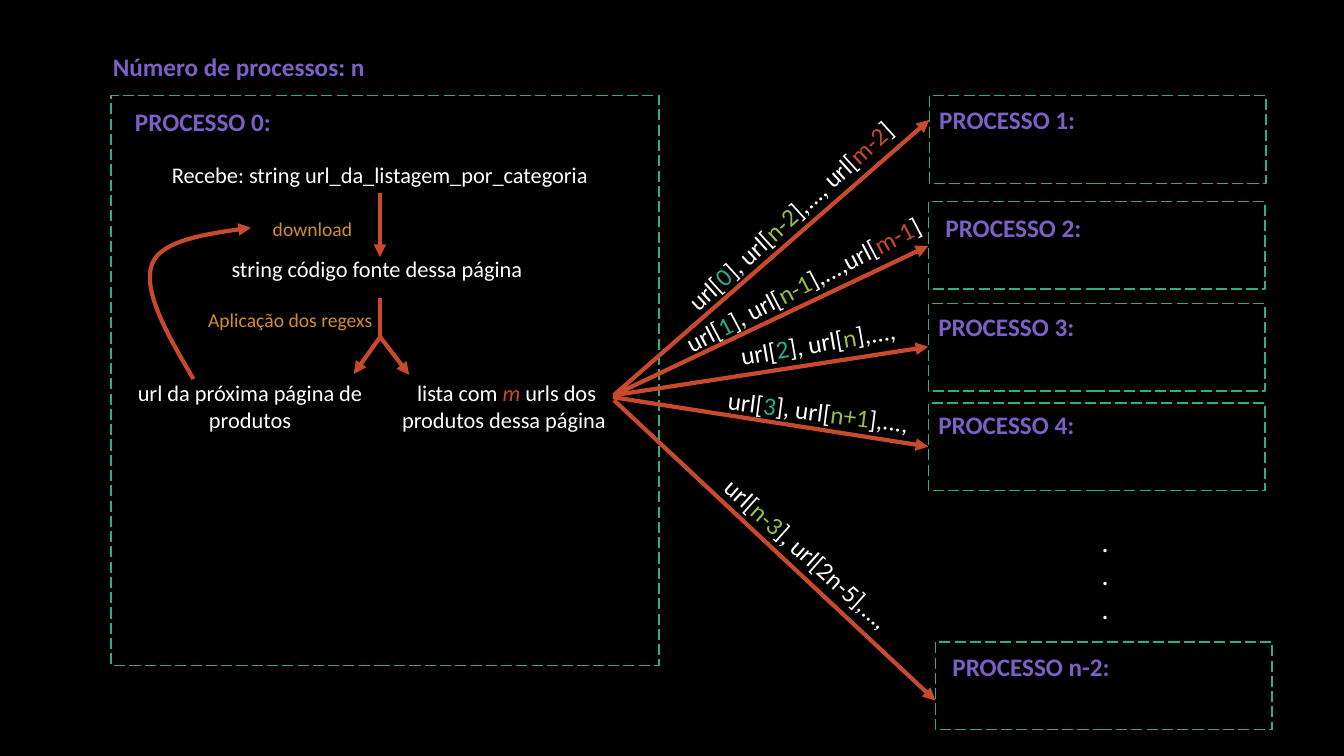
from lxml import etree
from pptx import Presentation
from pptx.dml.color import RGBColor
from pptx.enum import dml, shapes, text
from pptx.oxml import ns
from pptx.util import Pt

GREEN, LIME, RED = "29AF8C", "97BE49", "C9492C"
PURPLE, ORANGE, WHITE, BLACK = "7C60C6", "D58C2E", "FFFFFF", "000000"
LEFT, CENTER = text.PP_ALIGN.LEFT, text.PP_ALIGN.CENTER


def color(value):
    return RGBColor.from_string(value)


def bezier(p0, p1, p2, p3, steps=16):
    """Points along a cubic curve, without its first point."""
    points = []
    for i in range(1, steps + 1):
        t = i / steps
        weights = ((1 - t) ** 3, 3 * t * (1 - t) ** 2, 3 * t * t * (1 - t), t ** 3)
        points.append(tuple(sum(w * p[axis] for w, p in zip(weights, (p0, p1, p2, p3)))
                            for axis in (0, 1)))
    return points


class Diagram:
    """Draws on one slide; all lengths are in points."""
    font = "Calibri"

    def __init__(self, prs):
        self.s = prs.slides.add_slide(prs.slide_layouts[5])
        fill = self.s.background.fill
        fill.solid()
        fill.fore_color.rgb = color(BLACK)

    def add_runs(self, sp, runs, size, align=LEFT, bold=False):
        """Fill a shape with one paragraph of (text, colour) runs."""
        tf = sp.text_frame
        tf.word_wrap = True
        tf.vertical_anchor = text.MSO_ANCHOR.TOP
        p = tf.paragraphs[0]
        p.alignment = align
        for words, ink in runs:
            r = p.add_run()
            r.text = words
            self.style(r, size, ink, bold)
        return p

    def style(self, r, size, ink, bold=False):
        r.font.name, r.font.size, r.font.bold = self.font, Pt(size), bold
        r.font.color.rgb = color(ink)

    def title(self, words, *place):
        sp = self.s.shapes.title
        sp.left, sp.top, sp.width, sp.height = map(Pt, place)
        self.add_runs(sp, [(words, PURPLE)], 18, bold=True)

    def text(self, runs, left, top, width, height, size, align=LEFT, bold=False, rotation=0):
        sp = self.s.shapes.add_textbox(*map(Pt, (left, top, width, height)))
        sp.rotation = rotation
        return self.add_runs(sp, runs, size, align, bold)

    def dots(self, *place):
        sp = self.s.shapes.add_textbox(*map(Pt, place))
        tf = sp.text_frame
        tf.word_wrap = True
        tf.text = ".\n.\n."
        for p in tf.paragraphs:
            self.style(p.runs[0], 20, WHITE)

    def frame(self, *place):
        sp = self.s.shapes.add_shape(shapes.MSO_SHAPE.RECTANGLE, *map(Pt, place))
        sp.shadow.inherit = False
        sp.fill.background()
        sp.line.color.rgb = color(GREEN)
        sp.line.width = Pt(1)
        sp.line.dash_style = dml.MSO_LINE.LONG_DASH

    def stroke(self, sp, head):
        sp.line.color.rgb = color(RED)
        sp.line.width = Pt(3)
        if head:
            ln = sp.element.spPr.find(ns.qn("a:ln"))
            etree.SubElement(ln, ns.qn("a:tailEnd"), type="triangle")

    def arrow(self, start, end, head=True):
        sp = self.s.shapes.add_connector(shapes.MSO_CONNECTOR.STRAIGHT,
                                         *map(Pt, (*start, *end)))
        self.stroke(sp, head)
        etree.SubElement(sp.element.spPr, ns.qn("a:effectLst"))

    def curved_arrow(self, start, points):
        builder = self.s.shapes.build_freeform(*map(Pt, start))
        builder.add_line_segments([(Pt(x), Pt(y)) for x, y in points], close=False)
        sp = builder.convert_to_shape()
        sp.shadow.inherit = False
        sp.fill.background()
        self.stroke(sp, True)


def draw_main_process(d):
    d.frame(79.2, 68.4, 391.7, 406.8)
    d.text([("PROCESSO 0:", PURPLE)], 89.3, 72.7, 128.2, 28.8, 18, bold=True)
    steps = [
        ("Recebe: string url_da_listagem_por_categoria", WHITE, 16, (89.3, 111.6, 364.3, 26.6)),
        ("string código fonte dessa página ", WHITE, 16, (110.9, 178.6, 320.4, 26.6)),
        ("url da próxima página de produtos", WHITE, 16, (82.1, 267.1, 193, 46.1)),
        ("Aplicação dos regexs", ORANGE, 14, (133.2, 216.7, 148.3, 24.5)),
        ("download", ORANGE, 14, (175, 151.2, 96.5, 24.5)),
    ]
    for words, ink, size, place in steps:
        d.text([(words, ink)], *place, size, CENTER)
    p = d.text([("lista com ", WHITE), ("m ", RED), ("urls dos produtos dessa página ", WHITE)],
               262.8, 267.1, 198, 46.1, 16, CENTER)
    p.runs[1].font.italic = True

    d.arrow((271.4, 138.2), (271.4, 183.6))
    d.arrow((271.4, 213.1), (271.4, 241.9), head=False)
    d.arrow((272.2, 239.8), (252.7, 267.1))
    d.arrow((271.4, 240.5), (292.3, 267.8))
    start, bend, end = (138.2, 270.7), (108.7, 188.6), (179.3, 162.7)
    d.curved_arrow(start, bezier(start, (119.5, 239), (101.5, 207.4), bend)
                   + bezier(bend, (115.2, 171.4), (147.6, 167), end))


def draw_workers(d):
    # name, frame corner, label corner, arrow start, arrow end height
    workers = [
        ("1", (663.8, 68.4), (663.8, 71.3), (438.5, 282.2), 85.7),
        ("2", (663.1, 144), (668.2, 148.3), (438.5, 282.2), 175.7),
        ("3", (663.1, 216.7), (663.1, 218.9), (439.2, 282.2), 247.7),
        ("4", (663.1, 288), (663.1, 288.7), (437.8, 283.7), 319),
        ("n-2", (668.2, 458.6), (673.2, 461.5), (438.5, 285.8), 500.4),
    ]
    for name, corner, label, start, end_y in workers:
        d.frame(*corner, 240.5, 62.6)
        d.text([(f"PROCESSO {name}:", PURPLE)], *label, 128.2, 28.8, 18, bold=True)
        d.arrow(start, (corner[0], end_y))
    d.dots(779.8, 370.8, 25.2, 79.9)


def draw_messages(d):
    # coloured indices alternate with white text
    messages = [
        (("url[", "0", "], url[", "n-2", "],..., url[", "m-2", "]"),
         (GREEN, LIME, RED), (461.5, 138.2, 208.8), 317.6),
        (("url[", "1", "], url[", "n-1", "],...,url[", "m-1", "]"),
         (GREEN, LIME, RED), (473, 187.2, 206.6), 332.4),
        (("url[", "2", "], url[", "n", "],...,"), (GREEN, LIME), (521.3, 229.7, 133.2), 350.2),
        (("url[", "3", "], url[", "n+1", "],...,"), (GREEN, LIME), (512.6, 280.1, 151.9), 7.4),
        (("url[", "n-3", "], url[2n-5],...,"), (LIME,), (493.2, 384.5, 175), 41.8),
    ]
    for parts, inks, place, rotation in messages:
        runs = [(part, inks[i // 2] if i % 2 else WHITE) for i, part in enumerate(parts)]
        d.text(runs, *place, 28.8, 18, rotation=rotation)


def main():
    prs = Presentation()
    prs.slide_width, prs.slide_height = Pt(960), Pt(540)
    d = Diagram(prs)
    d.title("Número de processos: n", 73.4, 33.1, 198.7, 28.8)
    draw_main_process(d)
    draw_workers(d)
    draw_messages(d)
    prs.save("out.pptx")


if __name__ == "__main__":
    main()
